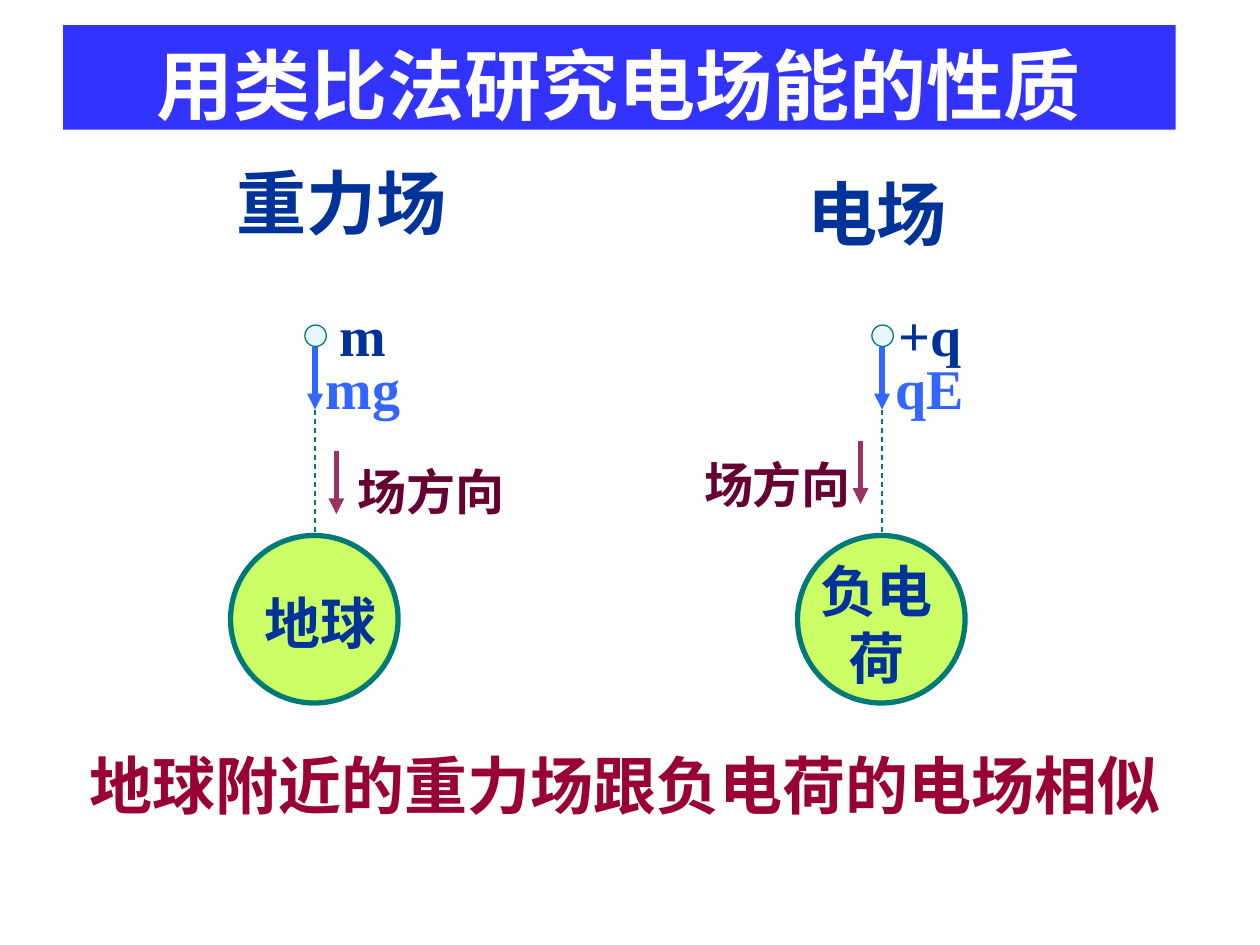
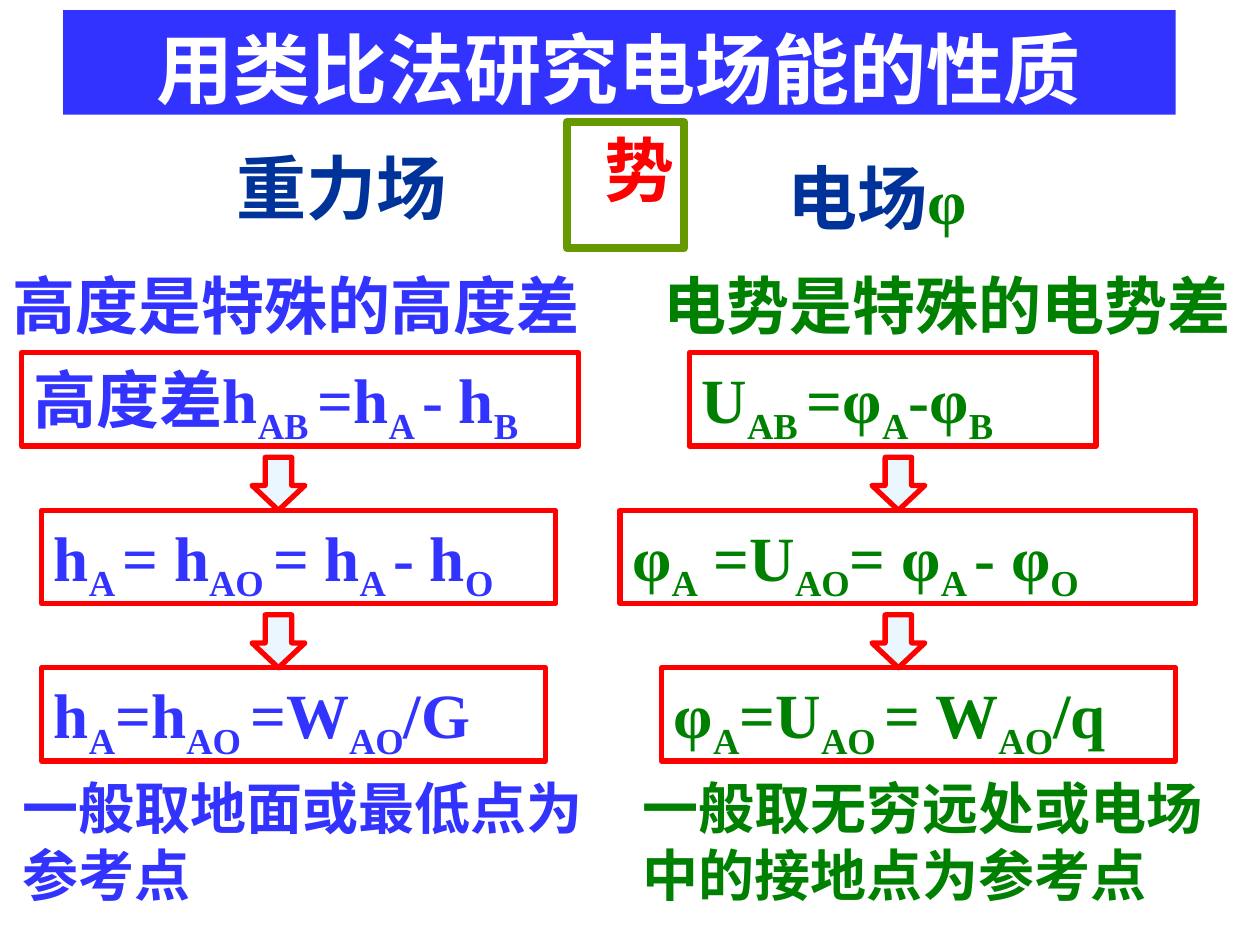
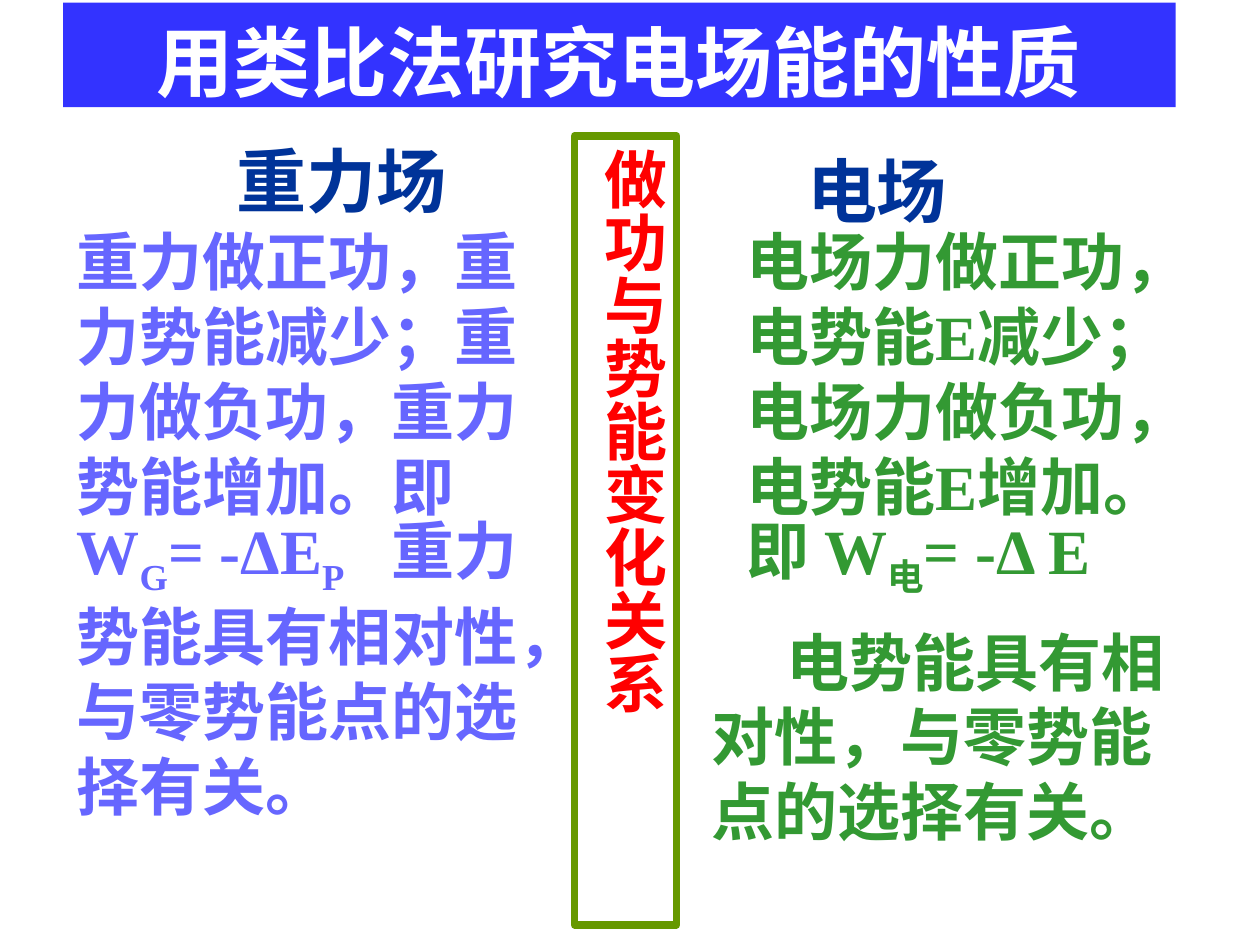
from lxml import etree
from pptx import Presentation
from pptx.dml.color import RGBColor
from pptx.enum.dml import MSO_LINE
from pptx.enum.shapes import MSO_CONNECTOR, MSO_SHAPE
from pptx.enum.text import MSO_ANCHOR, MSO_AUTO_SIZE, PP_ALIGN
from pptx.oxml.ns import qn
from pptx.util import Inches, Pt

LEFT, CENTER = PP_ALIGN.LEFT, PP_ALIGN.CENTER
OVAL, RECTANGLE, DOWN_ARROW = MSO_SHAPE.OVAL, MSO_SHAPE.RECTANGLE, MSO_SHAPE.DOWN_ARROW
STRAIGHT, DASH = MSO_CONNECTOR.STRAIGHT, MSO_LINE.DASH
TOP, NO_AUTOFIT = MSO_ANCHOR.TOP, MSO_AUTO_SIZE.NONE

LATIN_FONT = "Times New Roman"
CHINESE_FONT = "Noto Sans CJK SC"
TITLE = "用类比法研究电场能的性质"
TITLE_ONLY = 5
LINE_HEIGHT = 1.19

# Distance the first line is lowered, as a share of the text size
CHINESE_DROP, LATIN_DROP, FORMULA_DROP = 0.1, 0.03, 0.2

WHITE = RGBColor(0xFF, 0xFF, 0xFF)
BLUE = RGBColor(0x33, 0x33, 0xFF)
NAVY = RGBColor(0x00, 0x33, 0x99)
FORCE_BLUE = RGBColor(0x33, 0x66, 0xFF)
PALE_BLUE = RGBColor(0xEB, 0xF7, 0xFF)
LAVENDER = RGBColor(0x66, 0x66, 0xFF)
TEAL = RGBColor(0x00, 0x7A, 0x77)
LIME = RGBColor(0xCC, 0xFF, 0x66)
OLIVE = RGBColor(0x66, 0x99, 0x00)
GREEN = RGBColor(0x00, 0x80, 0x00)
SOFT_GREEN = RGBColor(0x33, 0x99, 0x33)
RED = RGBColor(0xFF, 0x00, 0x00)
CRIMSON = RGBColor(0x99, 0x00, 0x33)
PLUM = RGBColor(0x99, 0x33, 0x66)
DARK_PLUM = RGBColor(0x66, 0x00, 0x33)


def style_run(run, size, color, latin_font=LATIN_FONT):
    run.font.size = Pt(size)
    run.font.bold = True
    run.font.color.rgb = color
    run.font.name = latin_font
    properties = run._r.get_or_add_rPr()
    etree.SubElement(properties, qn("a:ea")).set("typeface", CHINESE_FONT)


def write(shape, text, size, color, align=LEFT, drop=CHINESE_DROP):
    """Fill a shape with one paragraph; every second part between bars is a subscript."""
    frame = shape.text_frame
    frame.word_wrap = True
    frame.auto_size = NO_AUTOFIT
    frame.vertical_anchor = TOP
    frame.margin_top = Inches(0.05) + Pt(size * drop)
    paragraph = frame.paragraphs[0]
    paragraph.alignment = align
    paragraph.line_spacing = Pt(size * LINE_HEIGHT)
    for index, part in enumerate(text.split("|")):
        run = paragraph.add_run()
        run.text = part
        style_run(run, size, color)
        if index % 2:
            run._r.get_or_add_rPr().set("baseline", "-25000")
    return paragraph


def add_text(slide, box, text, size, color, align=LEFT, drop=CHINESE_DROP):
    shape = slide.shapes.add_textbox(*map(Inches, box))
    return write(shape, text, size, color, align, drop)


def add_outlined(slide, kind, box, line_color, line_width, fill=None):
    shape = slide.shapes.add_shape(kind, *map(Inches, box))
    shape.shadow.inherit = False
    shape.line.color.rgb = line_color
    shape.line.width = Pt(line_width)
    if fill is None:
        shape.fill.background()
    else:
        shape.fill.solid()
        shape.fill.fore_color.rgb = fill
    return shape


def add_vertical_line(slide, x, top, bottom, color, width, arrow=False):
    """Draw a dashed line, or a solid one with an arrowhead at the bottom."""
    line = slide.shapes.add_connector(STRAIGHT, Inches(x), Inches(top), Inches(x), Inches(bottom))
    line.line.color.rgb = color
    line.line.width = Pt(width)
    if arrow:
        etree.SubElement(line.line._get_or_add_ln(), qn("a:tailEnd")).set("type", "triangle")
    else:
        line.line.dash_style = DASH
    etree.SubElement(line._element.spPr, qn("a:effectLst"))


def add_vertical_label(slide, box, text, size):
    shape = add_outlined(slide, RECTANGLE, box, OLIVE, 4.5)
    write(shape, text, size, RED, drop=0)
    shape.text_frame.margin_top = Inches(0.05)
    shape.text_frame._txBody.bodyPr.set("vert", "eaVert")


def add_comparison_slide(presentation, top):
    """Add a slide with the title band and both column headings; return it and the right heading."""
    slide = presentation.slides.add_slide(presentation.slide_layouts[TITLE_ONLY])
    title = slide.shapes.title
    title.left, title.top, title.width, title.height = map(Inches, (0.5, top, 8.83, 0.83))
    title.fill.solid()
    title.fill.fore_color.rgb = BLUE
    frame = title.text_frame
    frame.text = TITLE
    frame.auto_size = NO_AUTOFIT
    frame.vertical_anchor = TOP
    frame.margin_top, frame.margin_bottom = Inches(0.1), 0
    paragraph = frame.paragraphs[0]
    paragraph.alignment = CENTER
    paragraph.line_spacing = Pt(44 * LINE_HEIGHT)
    style_run(paragraph.runs[0], 44, WHITE, CHINESE_FONT)

    add_text(slide, (1.75, top + 0.97, 1.92, 0.77), "重力场", 40, NAVY, CENTER)
    heading = add_text(slide, (6, top + 1.05, 1.92, 0.77), "电场", 40, NAVY, CENTER)
    return slide, heading


def add_field(slide, x, source, source_box, particle, force):
    """Draw a field source with a particle above it and the force on the particle."""
    add_outlined(slide, OVAL, (x - 0.67, 4.25, 1.33, 1.33), TEAL, 3, LIME)
    add_text(slide, source_box, source, 32, NAVY, CENTER)
    add_vertical_line(slide, x, 2.75, 4.25, TEAL, 0.75)
    add_outlined(slide, OVAL, (x - 0.08, 2.58, 0.17, 0.17), TEAL, 0.75, PALE_BLUE)
    add_vertical_line(slide, x, 2.75, 3.25, FORCE_BLUE, 3, arrow=True)
    for label, top, color in ((particle, 2.33, NAVY), (force, 2.75, FORCE_BLUE)):
        add_text(slide, (x - 0.08, top, 0.92, 0.63), label, 32, color, CENTER, LATIN_DROP)


def add_field_direction(slide, arrow_x, arrow_top, label_left, label_top):
    add_vertical_line(slide, arrow_x, arrow_top, arrow_top + 0.5, PLUM, 3, arrow=True)
    add_text(slide, (label_left, label_top, 1.5, 0.57), "场方向", 28, DARK_PLUM, CENTER)


def add_derivation(slide, steps, arrow_left, color):
    """Stack framed formulas, given as (left, width, formula), with arrows between them."""
    for index, (left, width, formula) in enumerate(steps):
        top = 2.8 + 1.25 * index
        frame = add_outlined(slide, RECTANGLE, (left, top, width, 0.74), RED, 3)
        write(frame, formula, 36, color, drop=FORMULA_DROP)
    for index in range(len(steps) - 1):
        box = (arrow_left, 3.63 + 1.25 * index, 0.42, 0.42)
        arrow = add_outlined(slide, DOWN_ARROW, box, RED, 3, PALE_BLUE)
        arrow.adjustments[1] = 0.47


def build_fields(presentation):
    slide, _ = add_comparison_slide(presentation, 0.2)
    add_field(slide, 2.5, "地球", (1.92, 4.58, 1.25, 0.63), "m", "mg")
    add_field(slide, 7, "负电荷", (6.33, 4.33, 1.25, 1.17), "+q", "qE")
    add_field_direction(slide, 2.67, 3.58, 2.67, 3.58)
    add_field_direction(slide, 6.83, 3.5, 5.42, 3.52)
    add_text(slide, (0.5, 5.83, 8.92, 0.7), "地球附近的重力场跟负电荷的电场相似", 36, CRIMSON, CENTER)


def build_potential(presentation):
    slide, heading = add_comparison_slide(presentation, 0.08)
    symbol = heading.add_run()
    symbol.text = "φ"
    style_run(symbol, 36, GREEN)
    add_vertical_label(slide, (4.5, 0.97, 0.93, 1), "势", 40)

    add_text(slide, (0, 2.02, 4.83, 0.7), "高度是特殊的高度差", 36, BLUE)
    add_text(slide, (5.17, 2.02, 4.83, 0.7), "电势是特殊的电势差", 36, GREEN)
    height_steps = (
        (0.17, 4.42, "高度差h|AB |=h|A |- h|B"),
        (0.33, 4.08, "h|A |= h|AO |= h|A |- h|O"),
        (0.33, 4, "h|A|=h|AO |=W|AO|/G"),
    )
    potential_steps = (
        (5.47, 3.23, "U|AB |=φ|A|-φ|B"),
        (4.92, 4.57, "φ|A| =U|AO|= φ|A |- φ|O"),
        (5.25, 4.08, "φ|A|=U|AO |= W|AO|/q"),
    )
    add_derivation(slide, height_steps, 2, BLUE)
    add_derivation(slide, potential_steps, 6.92, GREEN)
    add_text(slide, (0.08, 6.05, 4.92, 1.17), "一般取地面或最低点为参考点", 32, BLUE)
    add_text(slide, (5, 6.05, 4.92, 1.17), "一般取无穷远处或电场中的接地点为参考点", 32, GREEN)


def build_work(presentation):
    slide, _ = add_comparison_slide(presentation, 0.02)
    add_vertical_label(slide, (4.56, 1.08, 0.81, 6.26), "做功与势能变化关系", 36)
    add_text(
        slide, (0.51, 1.67, 3.86, 4.91),
        "重力做正功，重力势能减少；重力做负功，重力势能增加。即 W|G|= -ΔE|P\t|"
        "重力势能具有相对性，与零势能点的选择有关。",
        36, LAVENDER,
    )
    add_text(
        slide, (5.83, 1.67, 3.81, 3.1),
        "电场力做正功，电势能E减少；电场力做负功，电势能E增加。即 W|电|= -Δ E",
        36, SOFT_GREEN,
    )
    relativity = add_text(
        slide, (5.55, 4.85, 3.94, 1.9),
        "电势能具有相对性，与零势能点的选择有关。", 36, SOFT_GREEN,
    )
    relativity._p.get_or_add_pPr().set("indent", str(Inches(0.59)))


def main():
    presentation = Presentation()
    presentation.slide_width, presentation.slide_height = Inches(10), Inches(7.5)
    build_fields(presentation)
    build_potential(presentation)
    build_work(presentation)
    presentation.save("out.pptx")


if __name__ == "__main__":
    main()
